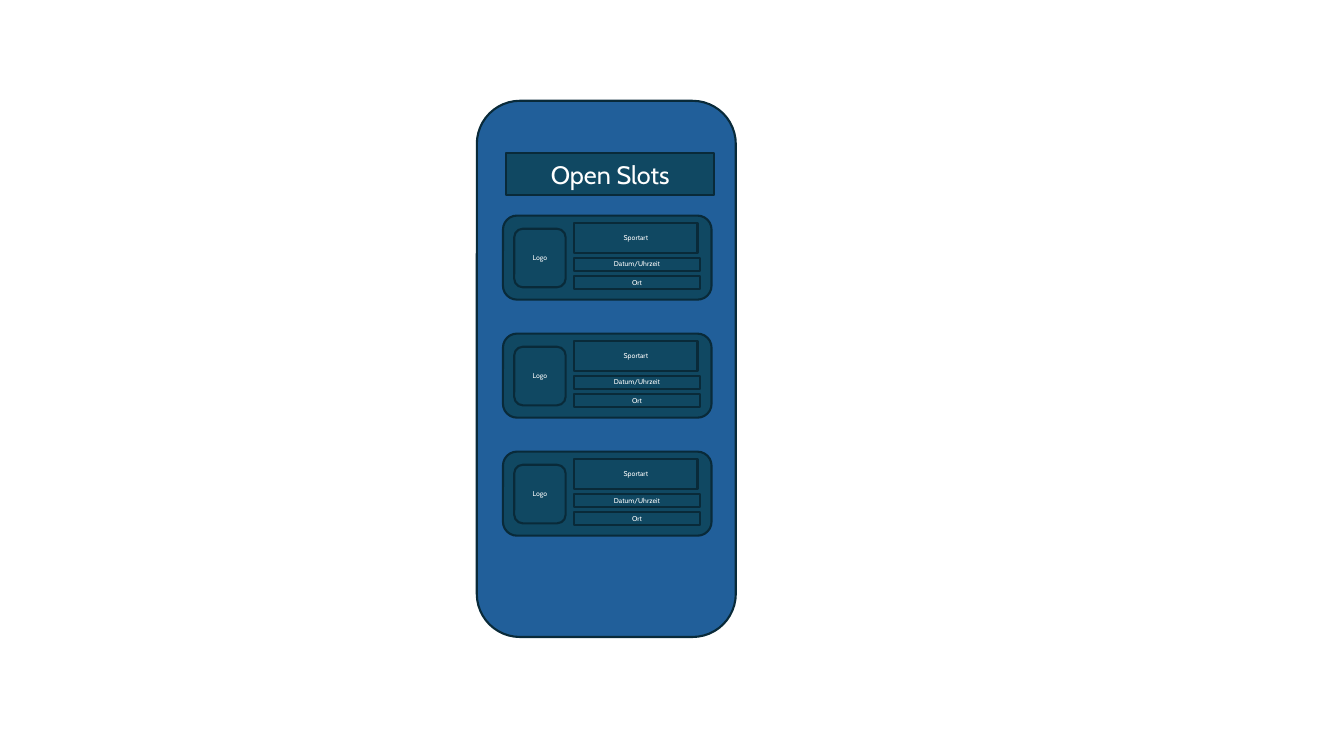
"""Build a slide with an app screen mock-up listing open sports slots."""
from pptx import Presentation
from pptx.dml.color import RGBColor
from pptx.enum.shapes import MSO_SHAPE
from pptx.enum.text import MSO_ANCHOR, PP_ALIGN
from pptx.util import Pt

RECT = MSO_SHAPE.RECTANGLE
ROUNDED = MSO_SHAPE.ROUNDED_RECTANGLE
MIDDLE = MSO_ANCHOR.MIDDLE
CENTER = PP_ALIGN.CENTER

COLORS = {"screen": "215F9A", "panel": "104862", "outline": "092A39", "text": "FFFFFF"}


def add_panel(parent, kind, left, top, width, height, fill="panel"):
    panel = parent.add_shape(kind, Pt(left), Pt(top), Pt(width), Pt(height))
    panel.shadow.inherit = False
    panel.fill.solid()
    panel.fill.fore_color.rgb = RGBColor.from_string(COLORS[fill])
    panel.line.color.rgb = RGBColor.from_string(COLORS["outline"])
    panel.line.width = Pt(1.5)
    return panel


def write(panel, text, size=5, font="Cabin", color="text"):
    frame = panel.text_frame
    frame.word_wrap = True
    frame.vertical_anchor = MIDDLE
    paragraph = frame.paragraphs[0]
    paragraph.alignment = CENTER
    run = paragraph.add_run()
    run.text = text
    run.font.size = Pt(size)
    run.font.name = font
    run.font.color.rgb = RGBColor.from_string(COLORS[color])


prs = Presentation()
prs.slide_width, prs.slide_height = Pt(960), Pt(540)
slide = prs.slides.add_slide(prs.slide_layouts[6])

add_panel(slide.shapes, ROUNDED, 340.6, 72, 185, 383, fill="screen")

CARD_LEFT, CARD_TOP, CARD_PITCH = 359.3, 154, 84.3
FIELDS = [
    ("Logo", ROUNDED, 8, 9.4, 36.7, 41.8),
    ("Sportart", RECT, 51, 5, 88, 21.6),
    ("Datum/Uhrzeit", RECT, 51, 30, 89.5, 9.4),
    ("Ort", RECT, 51, 43.3, 89.5, 9.4),
]
for row in range(3):
    card_top = CARD_TOP + row * CARD_PITCH
    card = slide.shapes.add_group_shape().shapes
    add_panel(card, ROUNDED, CARD_LEFT, card_top, 149, 60)
    for label, kind, dx, dy, width, height in FIELDS:
        field = add_panel(card, kind, CARD_LEFT + dx, card_top + dy, width, height)
        write(field, label)

heading = add_panel(slide.shapes, RECT, 361.4, 109.4, 149, 30.2)
write(heading, "Open Slots", size=18)

prs.save("out.pptx")
